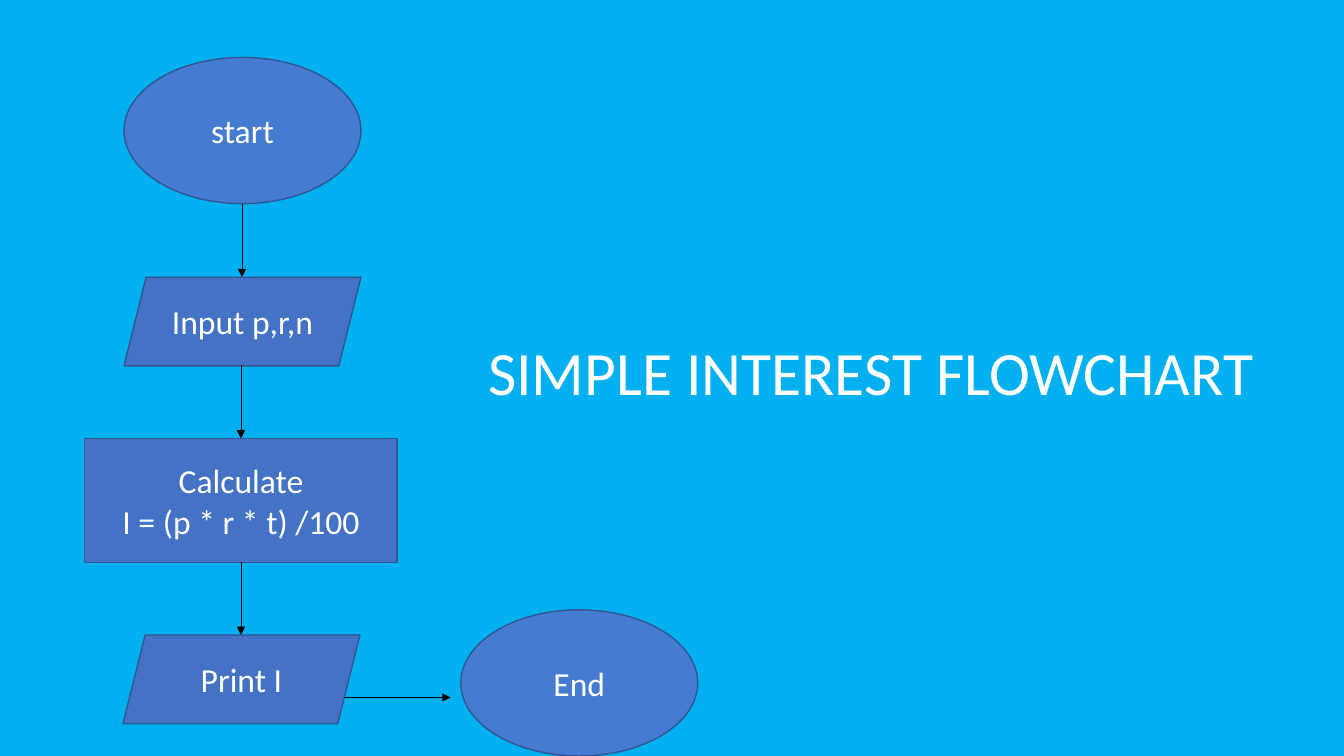
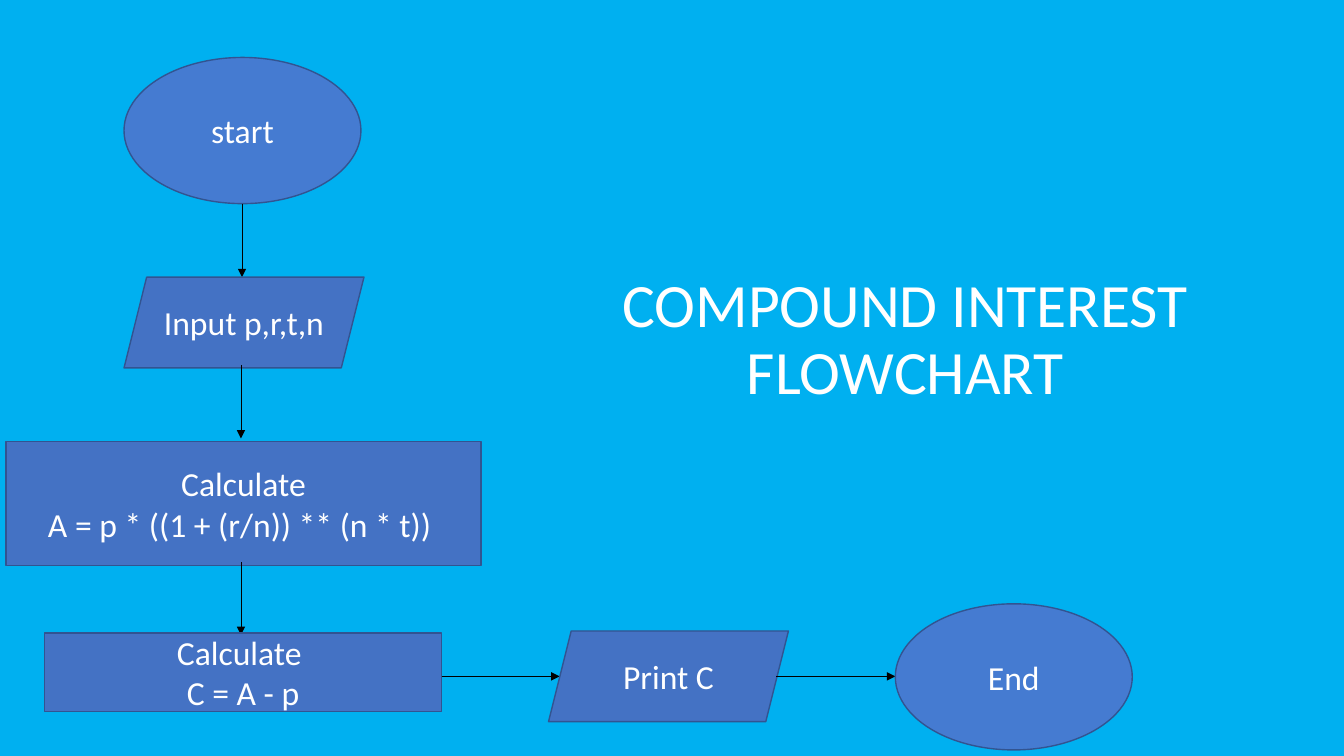
import pptx
import pptx.util
import pptx.dml.color
import pptx.enum.shapes
import pptx.enum.text
import pptx.oxml.ns
import lxml.etree

Inches = pptx.util.Inches
Pt = pptx.util.Pt
RGBColor = pptx.dml.color.RGBColor
SHAPE = pptx.enum.shapes.MSO_SHAPE
ALIGN = pptx.enum.text.PP_ALIGN
qn = pptx.oxml.ns.qn

SKY = RGBColor(0x00, 0xB0, 0xF0)
TERMINAL_BLUE = RGBColor(0x45, 0x7B, 0xD1)
STEP_BLUE = RGBColor(0x44, 0x72, 0xC4)
OUTLINE = RGBColor(0x32, 0x54, 0x91)
WHITE = RGBColor(0xFF, 0xFF, 0xFF)
BLACK = RGBColor(0x00, 0x00, 0x00)
FONT = "Calibri"

# Kind of step: preset shape and fill
KINDS = {
    "terminal": (SHAPE.OVAL, TERMINAL_BLUE),
    "data": (SHAPE.PARALLELOGRAM, STEP_BLUE),
    "process": (SHAPE.RECTANGLE, STEP_BLUE),
}

# Both charts open with the same step and share the downward arrows
START = ("terminal", (1.23, 0.57, 2.35, 1.45), ["start"])
DOWN_ARROWS = [(2.4, 2.02, 2.4, 2.75), (2.39, 3.62, 2.39, 4.35), (2.39, 5.58, 2.39, 6.3)]

# Each chart: title, title box, alignment, steps, arrows between the steps
FLOWCHARTS = [
    ("SIMPLE INTEREST FLOWCHART", (4.74, 2.9, 8.01, 1.65), ALIGN.LEFT,
     [START,
      ("data", (1.23, 2.75, 2.35, 0.88), ["Input p,r,n"]),
      ("process", (0.84, 4.35, 3.1, 1.23), ["Calculate", "I = (p * r * t) /100"]),
      ("data", (1.22, 6.3, 2.35, 0.88), ["Print I"]),
      ("terminal", (4.57, 6.05, 2.35, 1.45), ["End"])],
     DOWN_ARROWS + [(3.41, 6.92, 4.47, 6.92)]),
    ("COMPOUND INTEREST FLOWCHART", (5.44, 2.66, 7.08, 1.45), ALIGN.CENTER,
     [START,
      ("data", (1.23, 2.75, 2.38, 0.9), ["Input p,r,t,n"]),
      ("process", (0.06, 4.38, 4.71, 1.23),
       ["Calculate", "A = p * ((1 + (r/n)) ** (n * t)) "]),
      ("process", (0.44, 6.28, 3.94, 0.78), ["Calculate ", "C = A - p"]),
      ("data", (5.44, 6.26, 2.38, 0.9), ["Print C"]),
      ("terminal", (8.88, 5.99, 2.35, 1.45), ["End"])],
     DOWN_ARROWS + [(4.38, 6.71, 5.55, 6.71), (7.7, 6.71, 8.88, 6.71)]),
]


def write_lines(shape, lines, size, alignment):
    """Write one white paragraph per line, centred vertically in the shape."""
    frame = shape.text_frame
    frame.word_wrap = True
    frame.auto_size = pptx.enum.text.MSO_AUTO_SIZE.NONE
    frame.vertical_anchor = pptx.enum.text.MSO_ANCHOR.MIDDLE
    for index, line in enumerate(lines):
        paragraph = frame.add_paragraph() if index else frame.paragraphs[0]
        paragraph.alignment = alignment
        run = paragraph.add_run()
        run.text = line
        run.font.name = FONT
        run.font.size = Pt(size)
        run.font.color.rgb = WHITE


def add_arrow(slide, ends):
    """Draw a thin black arrow from the first point to the second."""
    arrow = slide.shapes.add_connector(
        pptx.enum.shapes.MSO_CONNECTOR.STRAIGHT, *map(Inches, ends))
    arrow.line.color.rgb = BLACK
    arrow.line.width = Pt(0.5)
    line = arrow.line._get_or_add_ln()
    lxml.etree.SubElement(line, qn("a:tailEnd"), type="triangle")
    lxml.etree.SubElement(arrow._element.spPr, qn("a:effectLst"))


presentation = pptx.Presentation()
presentation.slide_width = Inches(13.33)
presentation.slide_height = Inches(7.5)
background = presentation.slide_master.background.fill
background.solid()
background.fore_color.rgb = SKY
title_only = presentation.slide_layouts[5]

for heading, title_box, title_alignment, steps, arrows in FLOWCHARTS:
    slide = presentation.slides.add_slide(title_only)
    title = slide.shapes.title
    title.left, title.top, title.width, title.height = map(Inches, title_box)
    write_lines(title, [heading], 44, title_alignment)
    title.text_frame.paragraphs[0].line_spacing = 0.9

    for index, (kind, box, lines) in enumerate(steps):
        preset, fill_color = KINDS[kind]
        step = slide.shapes.add_shape(preset, *map(Inches, box))
        step.shadow.inherit = False
        step.fill.solid()
        step.fill.fore_color.rgb = fill_color
        step.line.color.rgb = OUTLINE
        step.line.width = Pt(1)
        write_lines(step, lines, 24, ALIGN.CENTER)
        if index < len(arrows):
            add_arrow(slide, arrows[index])

presentation.save("out.pptx")
